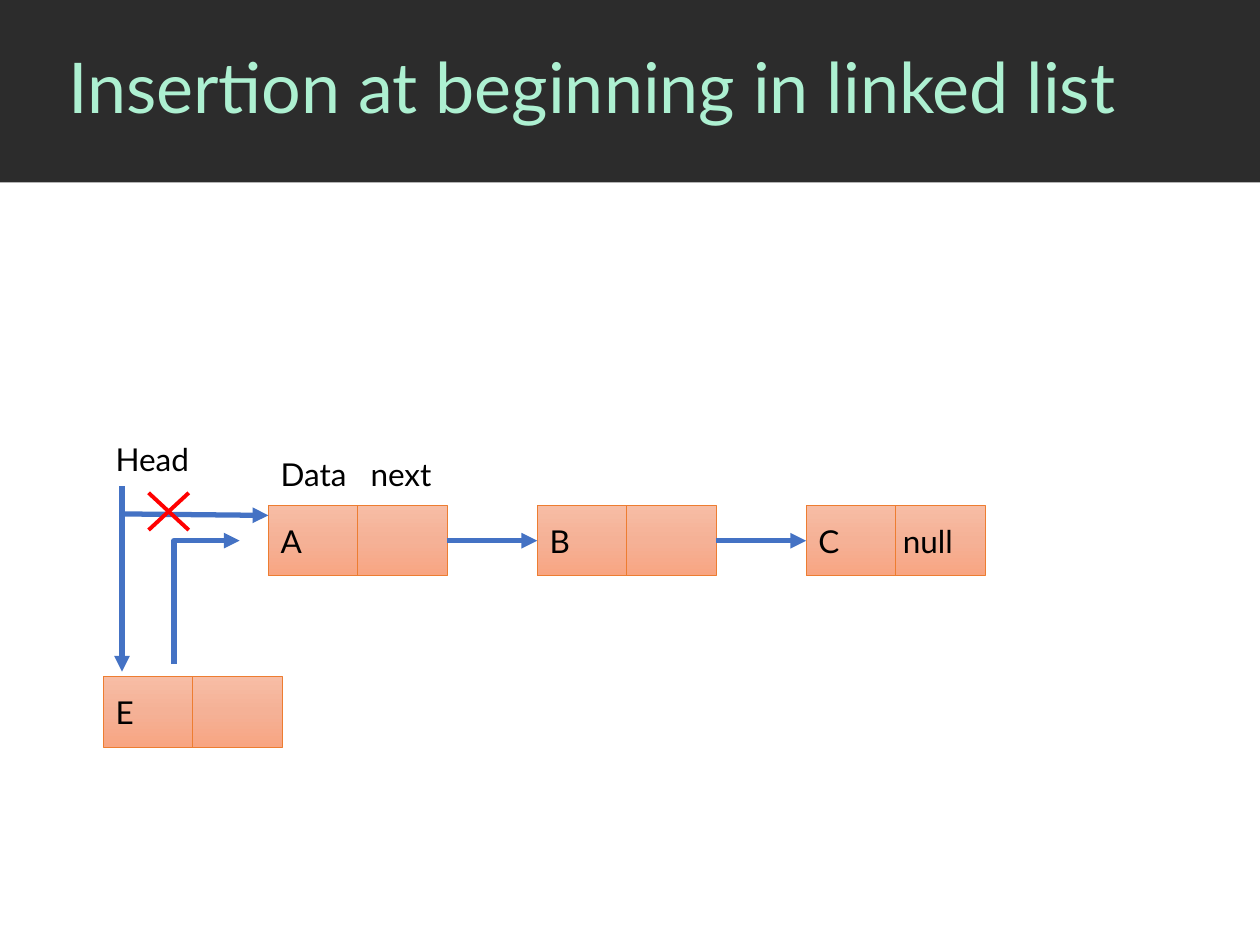
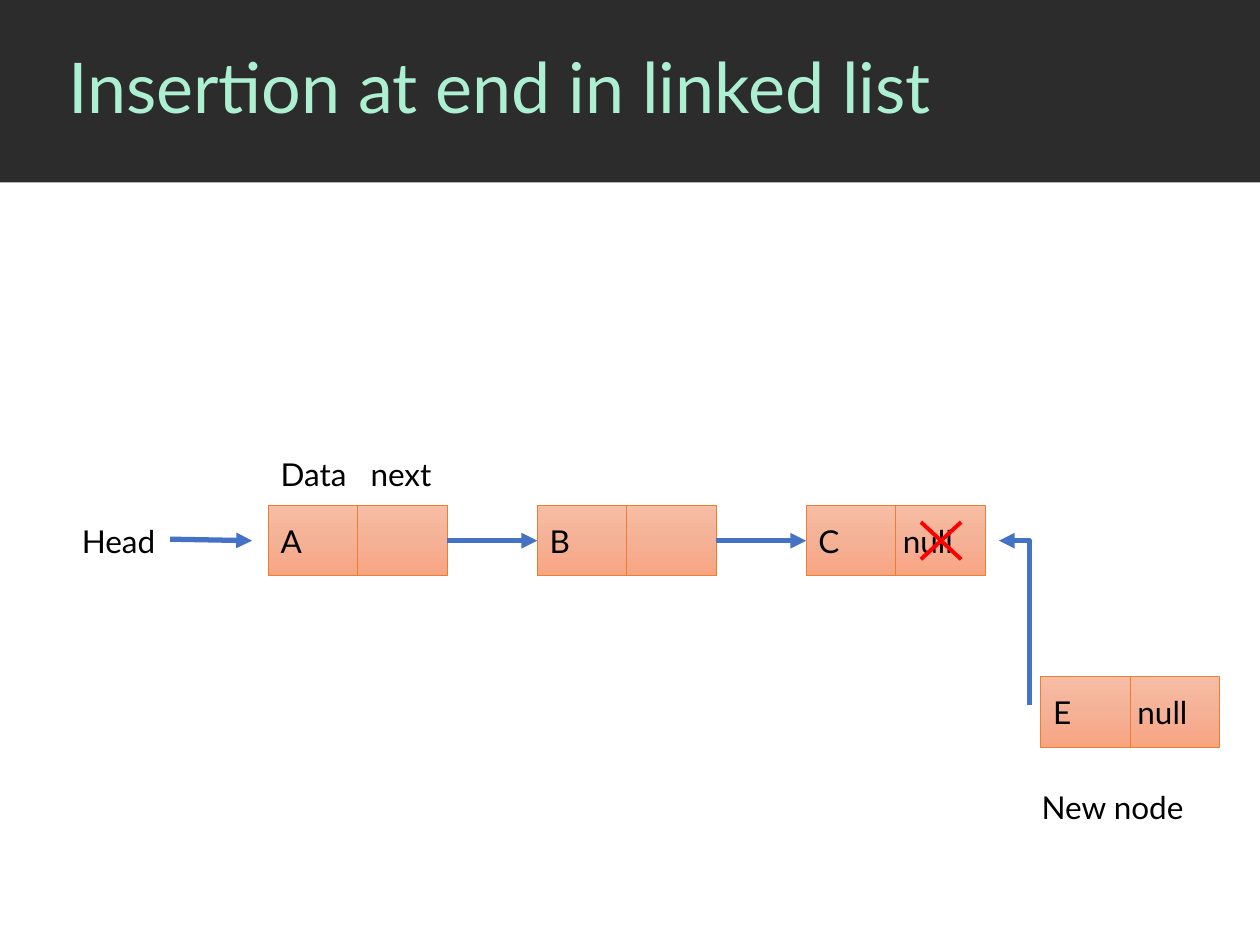
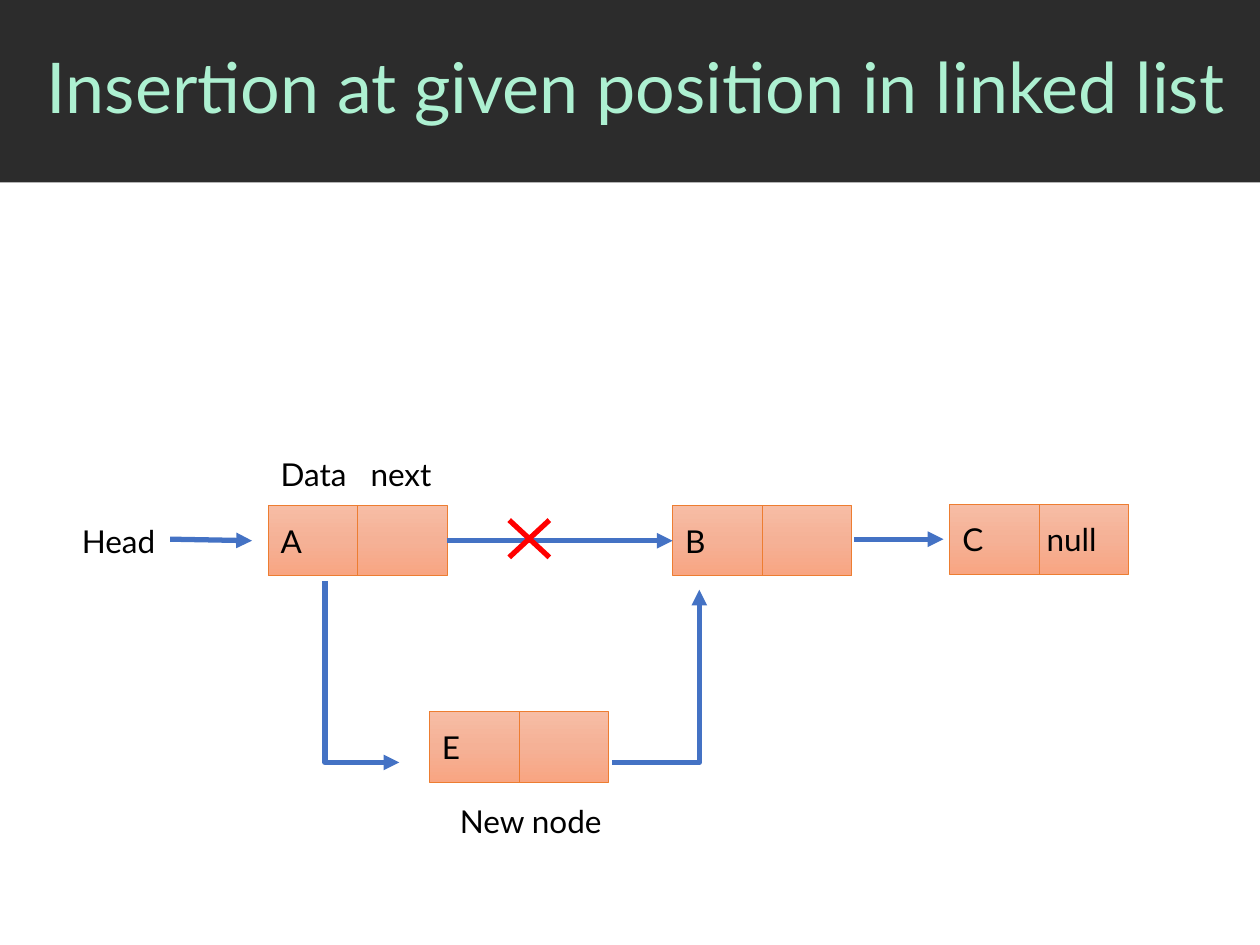
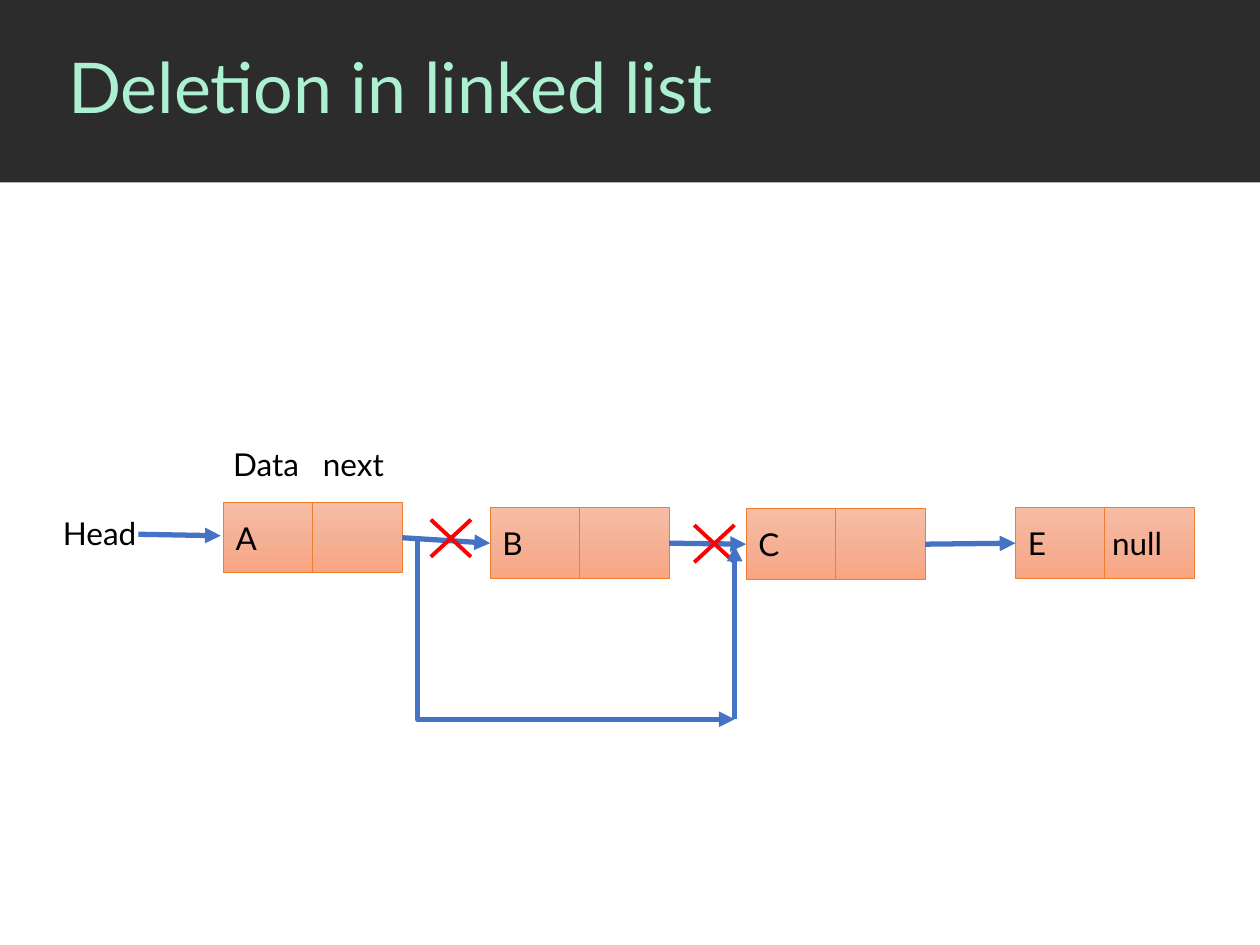
from copy import deepcopy
from dataclasses import dataclass

from lxml.etree import SubElement
from pptx import Presentation
from pptx.dml.color import RGBColor
from pptx.enum.shapes import MSO_CONNECTOR as Connector, MSO_SHAPE as Preset
from pptx.enum.text import MSO_ANCHOR as Anchor, MSO_AUTO_SIZE as AutoSize, PP_ALIGN as Align
from pptx.oxml.ns import qn
from pptx.util import Cm, Pt


@dataclass(frozen=True)
class Theme:
    """Colours, type sizes, line widths and shared measures in centimetres."""
    font: str = "Lato"
    band: str = "2C2C2C"
    title: str = "ADF0D1"
    text: str = "000000"
    border: str = "ED7D31"
    arrow: str = "4472C4"
    cross: str = "FF0000"
    gradient: tuple = ((0, "F7BDA5"), (0.5, "F5B196"), (1, "F8A582"))
    title_size: int = 40
    text_size: int = 18
    border_width: float = 0.5
    arrow_width: float = 3
    cross_width: float = 2.25
    slide_width: float = 25.4
    slide_height: float = 19.05
    band_height: float = 3.68
    node_width: float = 3.61
    node_height: float = 1.42
    node_tab: float = 1.7
    label_tab: float = 1.81
    label_height: float = 1.02
    cross_size: tuple = (0.81, 0.75)
    row_left: float = 5.41
    row_top: float = 10.19
    row_pitch: float = 5.42


THEME = Theme()


def apply_format(target, values):
    """Set each named attribute of the target."""
    for name, value in values.items():
        setattr(target, name, value)


def write(frame, text, size, colour, tab=None):
    """Write one left-aligned paragraph, with a tab stop where one is given."""
    frame.word_wrap = True
    paragraph = frame.paragraphs[0]
    paragraph.alignment = Align.LEFT
    if tab:
        tabs = SubElement(paragraph._p.get_or_add_pPr(), qn("a:tabLst"))
        SubElement(tabs, qn("a:tab"), pos=str(Cm(tab)), algn="l")
    run = paragraph.add_run()
    run.text = text
    apply_format(run.font, {"name": THEME.font, "size": Pt(size)})
    run.font.color.rgb = RGBColor.from_string(colour)
    return paragraph


def add_band(slide):
    """Place the title band behind everything on the slide's layout."""
    band = slide.shapes.add_shape(
        Preset.RECTANGLE, 0, 0, Cm(THEME.slide_width), Cm(THEME.band_height))
    band.shadow.inherit = False
    band.fill.solid()
    band.fill.fore_color.rgb = RGBColor.from_string(THEME.band)
    band.line.fill.background()
    band._element.nvSpPr.cNvPr.set("id", "20")
    slide.slide_layout.shapes._spTree.insert(2, band._element)


def add_slide(presentation, text, left=1.12):
    """Add a slide with its title on the band."""
    slide = presentation.slides.add_slide(presentation.slide_layouts[5])
    title = slide.shapes.title
    apply_format(title, {"left": Cm(left), "top": 0, "height": Cm(THEME.band_height),
                         "width": Cm(THEME.slide_width - left)})
    apply_format(title.text_frame, {"auto_size": AutoSize.NONE,
                                    "vertical_anchor": Anchor.MIDDLE})
    write(title.text_frame, text, THEME.title_size, THEME.title).line_spacing = 0.9
    return slide


def add_label(slide, text, left, top, width=2.34):
    """Add a text label."""
    label = slide.shapes.add_textbox(Cm(left), Cm(top), Cm(width), Cm(THEME.label_height))
    write(label.text_frame, text, THEME.text_size, THEME.text,
          THEME.label_tab if "\t" in text else None)
    label.text_frame.auto_size = AutoSize.SHAPE_TO_FIT_TEXT


def add_line(slide, begin, end, colour, width, kind=Connector.STRAIGHT, head=False):
    """Draw a connector between two points, with an arrowhead if asked."""
    connector = slide.shapes.add_connector(kind, *map(Cm, (*begin, *end)))
    connector.line.color.rgb = RGBColor.from_string(colour)
    connector.line.width = Pt(width)
    if head:
        SubElement(connector.line._get_or_add_ln(), qn("a:tailEnd"), type="triangle")
    SubElement(connector._element.spPr, qn("a:effectLst"))
    return connector


def add_arrow(slide, begin, end, kind=Connector.STRAIGHT):
    """Draw a blue arrow between two points."""
    return add_line(slide, begin, end, THEME.arrow, THEME.arrow_width, kind, head=True)


def link_nodes(slide, source, target):
    """Join the right side of one node to the left side of the next."""
    arrow = add_arrow(slide, (0, 0), (1, 1))
    arrow.begin_connect(source, 3)
    arrow.end_connect(target, 1)


def add_elbow(slide, begin, end, bend=1.0, vertical=True):
    """Draw a bent arrow whose middle run lies at the given share of its way."""
    if vertical:
        (x1, y1), (x2, y2) = begin, end
        middle_x, middle_y = (x1 + x2) / 2, (y1 + y2) / 2
        half_x, half_y = (y2 - y1) / 2, (x1 - x2) / 2
        begin = middle_x - half_x, middle_y - half_y
        end = middle_x + half_x, middle_y + half_y
    properties = add_arrow(slide, begin, end, Connector.ELBOW)._element.spPr
    if vertical:
        properties.find(qn("a:xfrm")).set("rot", "5400000")
    guides = properties.find(qn("a:prstGeom")).find(qn("a:avLst"))
    SubElement(guides, qn("a:gd"), name="adj1", fmla=f"val {round(bend * 100000)}")


def add_cross(slide, x, y, width=THEME.cross_width):
    """Strike out a link with a red cross centred on a point."""
    half_x, half_y = (size / 2 for size in THEME.cross_size)
    for rise in (-half_y, half_y):
        add_line(slide, (x - half_x, y + rise), (x + half_x, y - rise), THEME.cross, width)


def add_node(slide, text, left, top=THEME.row_top):
    """Add a list node split into a data cell and a next cell."""
    node = slide.shapes.add_shape(Preset.RECTANGLE, Cm(left), Cm(top),
                                  Cm(THEME.node_width), Cm(THEME.node_height))
    node.shadow.inherit = False
    node.fill.gradient()
    node.fill.gradient_angle = 270
    stop_list = node._element.spPr.find(qn("a:gradFill")).find(qn("a:gsLst"))
    stop_list.insert(1, deepcopy(stop_list[0]))
    for stop, (position, colour) in zip(node.fill.gradient_stops, THEME.gradient):
        stop.position = position
        stop.color.rgb = RGBColor.from_string(colour)
    node.line.color.rgb = RGBColor.from_string(THEME.border)
    node.line.width = Pt(THEME.border_width)
    node.text_frame.vertical_anchor = Anchor.MIDDLE
    write(node.text_frame, text, THEME.text_size, THEME.text,
          THEME.node_tab if "\t" in text else None)
    middle = left + THEME.node_width / 2
    add_line(slide, (middle, top), (middle, top + THEME.node_height),
             THEME.border, THEME.border_width)
    return node


def add_chain(slide, nodes):
    """Add nodes from left to right and link each to the next."""
    shapes = [add_node(slide, *node) for node in nodes]
    for source, target in zip(shapes, shapes[1:]):
        link_nodes(slide, source, target)


def add_even_chain(slide):
    """Add the evenly spaced list A, B, C with its column labels."""
    add_chain(slide, [(text, THEME.row_left + index * THEME.row_pitch)
                      for index, text in enumerate(("A", "B", "C\tnull"))])
    add_field_labels(slide)


def add_field_labels(slide, left=THEME.row_left, top=9.04):
    """Name the two cells of the first node."""
    add_label(slide, "Data\tnext", left, top, THEME.node_width)


def add_head(slide):
    """Add the head label and its arrow in front of the list."""
    add_label(slide, "Head", 1.4, 10.39)
    add_arrow(slide, (3.43, 10.87), (5.08, 10.9))


def build_insert_beginning(presentation):
    """Show a node inserted before the first one."""
    slide = add_slide(presentation, "Insertion at beginning in linked list")
    add_band(slide)
    add_even_chain(slide)
    add_node(slide, "E", 2.08, 13.64)
    add_elbow(slide, (3.51, 13.39), (4.83, 10.9))
    add_label(slide, "Head", 2.08, 8.74)
    add_arrow(slide, (2.46, 9.8), (2.46, 13.54))
    add_arrow(slide, (2.46, 10.36), (5.41, 10.39))
    add_cross(slide, 3.4, 10.31)


def build_insert_end(presentation):
    """Show a node inserted after the last one."""
    slide = add_slide(presentation, "Insertion at end in linked list")
    add_even_chain(slide)
    add_node(slide, "E\tnull", 20.98, 13.64)
    add_elbow(slide, (20.75, 14.22), (20.14, 10.9))
    add_head(slide)
    add_cross(slide, 18.97, 10.9)
    add_label(slide, "New node", 20.75, 15.77, 3.51)


def build_insert_position(presentation):
    """Show a node inserted between two others."""
    slide = add_slide(presentation, "Insertion at given position in linked list", 0.69)
    add_chain(slide, [("A", THEME.row_left), ("B", 13.56)])
    add_node(slide, "C\tnull", 19.15, 10.16)
    add_node(slide, "E", 8.66, 14.35)
    add_arrow(slide, (17.22, 10.87), (19.02, 10.87))
    add_field_labels(slide)
    add_head(slide)
    add_label(slide, "New node", 9.02, 16.05, 3.51)
    add_elbow(slide, (6.55, 11.71), (8.05, 15.37))
    add_elbow(slide, (12.34, 15.37), (14.1, 11.89), bend=0)
    add_cross(slide, 10.67, 10.86, THEME.arrow_width)


def build_deletion(presentation):
    """Show a node bypassed and so deleted."""
    slide = add_slide(presentation, "Deletion in linked list")
    add_chain(slide, [("A", 4.5, 10.13), ("B", 9.88, 10.24),
                      ("C", 15.04, 10.26), ("E\tnull", 20.47, 10.24)])
    add_field_labels(slide, 4.45, 8.84)
    add_label(slide, "Head", 1.02, 10.24)
    add_arrow(slide, (2.79, 10.77), (4.45, 10.8))
    for x, y in ((14.4, 10.96), (9.09, 10.85)):
        add_cross(slide, x, y)
    add_elbow(slide, (8.36, 10.9), (14.81, 14.5), bend=0.01, vertical=False)
    add_arrow(slide, (14.81, 14.5), (14.81, 11))


def main():
    """Build and save the four slides."""
    presentation = Presentation()
    apply_format(presentation, {"slide_width": Cm(THEME.slide_width),
                                "slide_height": Cm(THEME.slide_height)})
    for build in (build_insert_beginning, build_insert_end,
                  build_insert_position, build_deletion):
        build(presentation)
    presentation.save("out.pptx")


if __name__ == "__main__":
    main()
